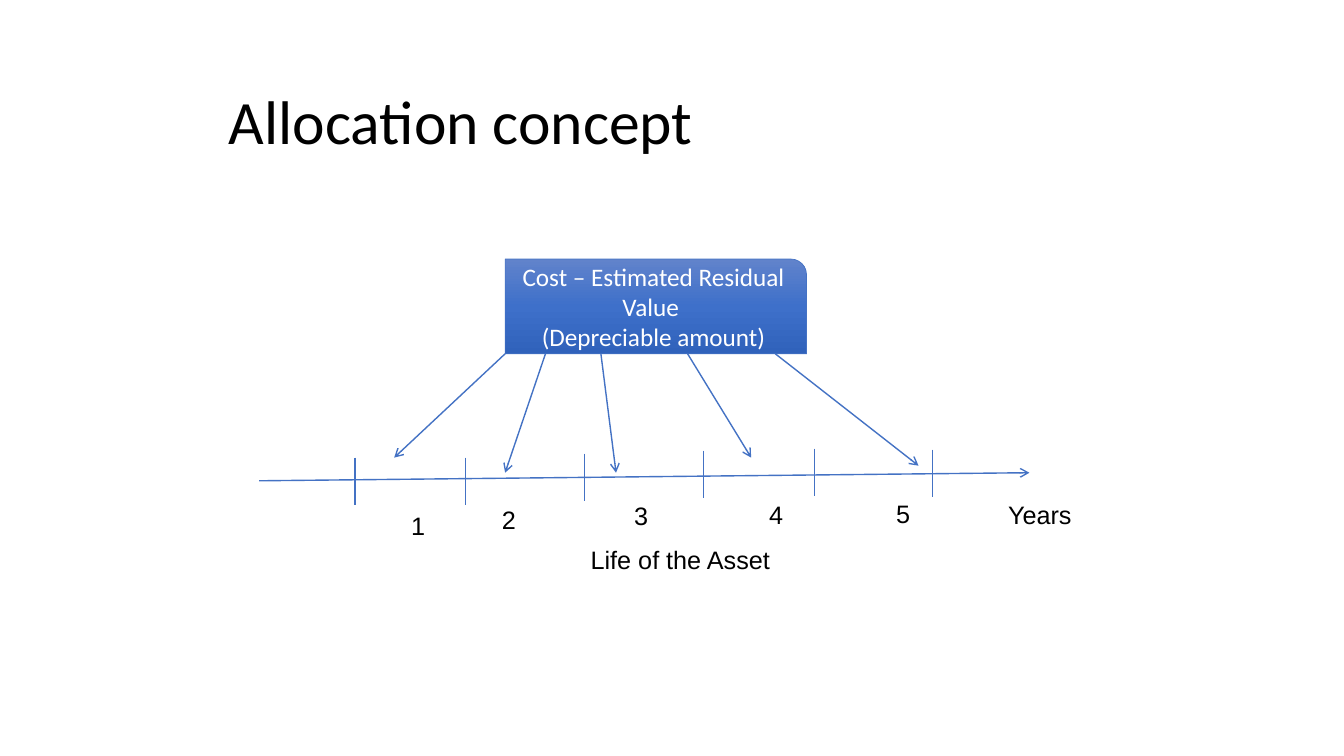
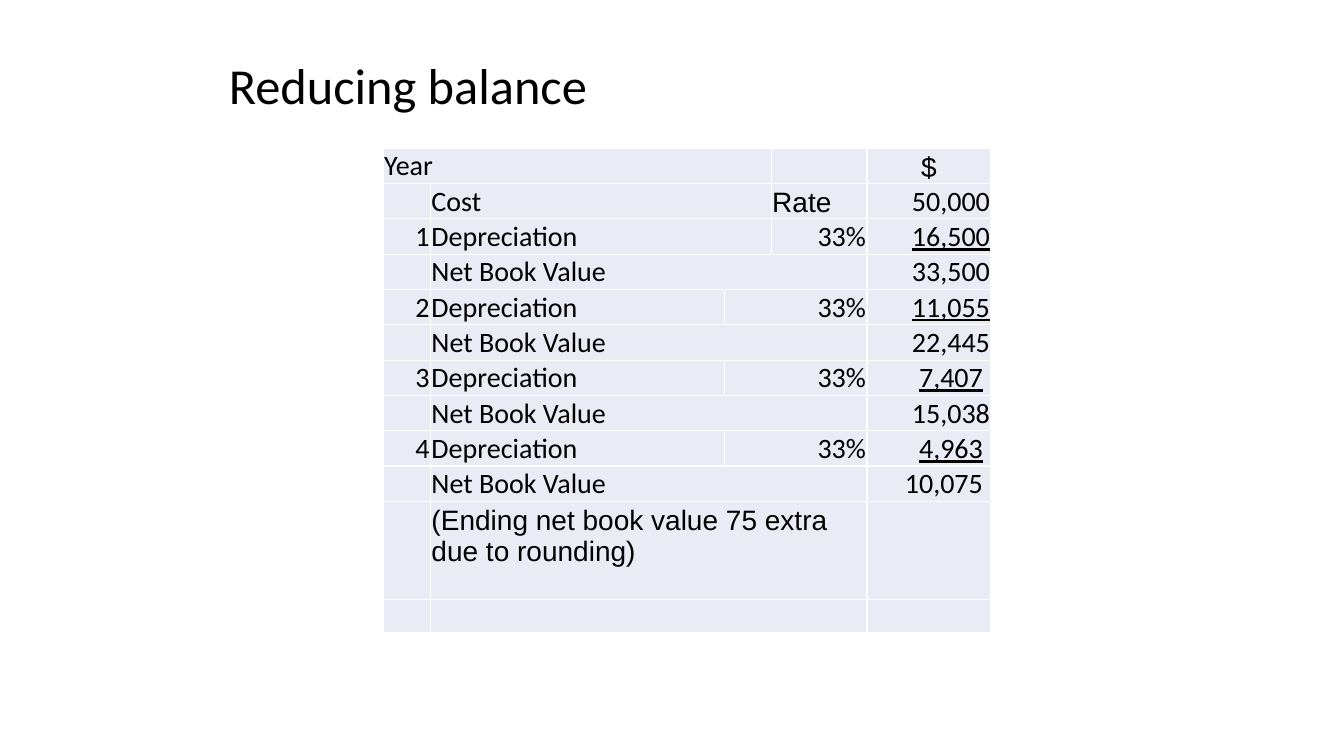
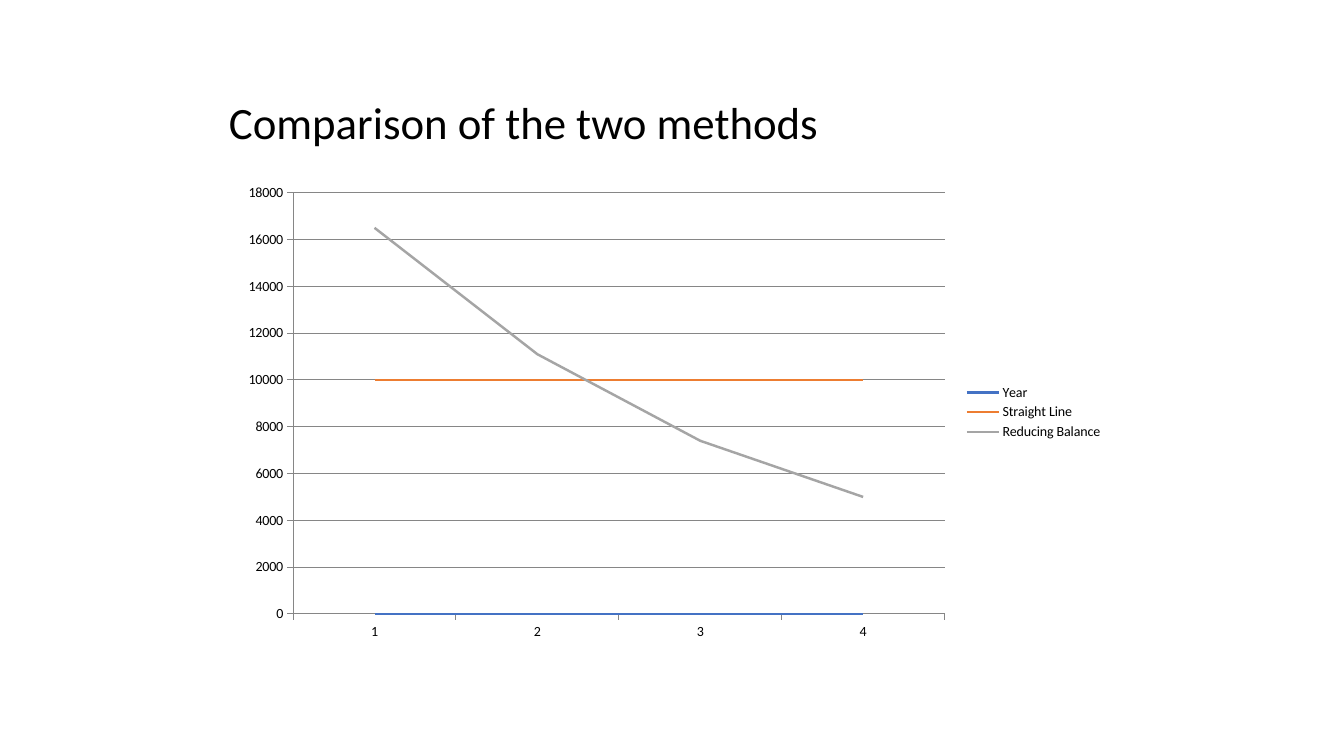
from copy import deepcopy

from lxml import etree
from pptx import Presentation
from pptx.chart.data import CategoryChartData
from pptx.dml.color import RGBColor
from pptx.enum import chart as ch, shapes, text
from pptx.oxml.ns import qn
from pptx.util import Inches, Pt

BLACK, WHITE, BLUE = "000000", "FFFFFF", "4472C4"
GRID, CELL = "868686", "E9EBF5"
HEAD_FONT, LABEL_FONT = "Calibri", "Arial"
LEFT, CENTER, RIGHT = text.PP_ALIGN.LEFT, text.PP_ALIGN.CENTER, text.PP_ALIGN.RIGHT


def rgb(value):
    return RGBColor.from_string(value)


def style(font, size, name=HEAD_FONT, color=BLACK):
    font.size, font.name, font.color.rgb = Pt(size), name, rgb(color)


class Deck:
    """Holds the presentation and the slide being built."""

    def __init__(self):
        self.prs = Presentation()
        self.prs.slide_width, self.prs.slide_height = Inches(13.33), Inches(7.5)
        self.slide = None

    def new_slide(self, heading, size, top=0.75, height=0.97):
        self.slide = self.prs.slides.add_slide(self.prs.slide_layouts[5])
        title = self.slide.shapes.title
        title.left, title.top = Inches(2.17), Inches(top)
        title.width, title.height = Inches(9), Inches(height)
        frame = title.text_frame
        frame.text = heading
        frame.auto_size = text.MSO_AUTO_SIZE.NONE
        frame.vertical_anchor = text.MSO_ANCHOR.MIDDLE
        paragraph = frame.paragraphs[0]
        paragraph.alignment, paragraph.line_spacing = LEFT, 0.9
        style(paragraph.font, size)

    def label(self, words, left, top, width):
        box = self.slide.shapes.add_textbox(
            Inches(left), Inches(top), Inches(width), Inches(0.4))
        box.text_frame.text = words
        box.text_frame.word_wrap = False
        style(box.text_frame.paragraphs[0].font, 18, LABEL_FONT)

    def line(self, x1, y1, x2, y2, arrow=False):
        line = self.slide.shapes.add_connector(
            shapes.MSO_CONNECTOR.STRAIGHT,
            Inches(x1), Inches(y1), Inches(x2), Inches(y2))
        line.line.color.rgb, line.line.width = rgb(BLUE), Pt(1)
        properties = line.element.spPr
        if arrow:
            etree.SubElement(properties.find(qn("a:ln")), qn("a:tailEnd"), type="arrow")
        etree.SubElement(properties, qn("a:effectLst"))

    def gradient_box(self, lines, left, top, width, height, colors):
        box = self.slide.shapes.add_shape(
            shapes.MSO_SHAPE.ROUND_1_RECTANGLE,
            Inches(left), Inches(top), Inches(width), Inches(height))
        box.shadow.inherit = False
        box.line.color.rgb, box.line.width = rgb(BLUE), Pt(0.5)
        # Gradient with evenly spaced stops, running downwards
        box.fill.gradient()
        box.fill.gradient_angle = 270
        stops = box.element.spPr.find(qn("a:gradFill")).find(qn("a:gsLst"))
        while len(stops) < len(colors):
            stops.insert(1, deepcopy(stops[0]))
        for i, (stop, color) in enumerate(zip(box.fill.gradient_stops, colors)):
            stop.color.rgb = rgb(color)
            stop.position = i / (len(colors) - 1)
        frame = box.text_frame
        frame.word_wrap = True
        frame.vertical_anchor = text.MSO_ANCHOR.MIDDLE
        frame.text = "\n".join(lines)
        for paragraph in frame.paragraphs:
            paragraph.alignment = CENTER
            style(paragraph.font, 18, color=WHITE)

    def table(self, left, top, widths, heights):
        table = self.slide.shapes.add_table(
            len(heights), len(widths), Inches(left), Inches(top),
            Inches(sum(widths)), Inches(sum(heights))).table
        table.first_row = table.horz_banding = False
        for column, width in zip(table.columns, widths):
            column.width = Inches(width)
        for row, height in zip(table.rows, heights):
            row.height = Inches(height)
        for cell in table.iter_cells():
            cell.margin_left = cell.margin_right = cell.margin_top = Inches(0.01)
            cell.margin_bottom = 0
            cell.vertical_anchor = text.MSO_ANCHOR.BOTTOM
            for side in ("lnL", "lnR", "lnT", "lnB"):
                border = etree.SubElement(
                    cell._tc.get_or_add_tcPr(), qn("a:" + side), w=str(Pt(1)))
                fill = etree.SubElement(border, qn("a:solidFill"))
                etree.SubElement(fill, qn("a:srgbClr"), val=WHITE)
            cell.fill.solid()
            cell.fill.fore_color.rgb = rgb(CELL)
        return table

    def cell_text(self, cell, words, align=LEFT, font=HEAD_FONT, underline=None):
        cell.text = words
        paragraph = cell.text_frame.paragraphs[0]
        paragraph.alignment = align
        style(paragraph.font, 20, font)
        paragraph.font.underline = underline

    def line_chart(self, left, top, width, height, categories, series):
        data = CategoryChartData()
        data.categories = categories
        for name, values, _ in series:
            data.add_series(name, values)
        chart = self.slide.shapes.add_chart(
            ch.XL_CHART_TYPE.LINE, Inches(left), Inches(top),
            Inches(width), Inches(height), data).chart
        style(chart.font, 10)
        chart.has_title = False
        chart.has_legend = True
        chart.legend.position = ch.XL_LEGEND_POSITION.RIGHT
        chart.legend.include_in_layout = False
        chart.plots[0].vary_by_categories = False
        for plotted, (_, _, color) in zip(chart.plots[0].series, series):
            plotted.smooth = False
            plotted.format.line.color.rgb = rgb(color)
            plotted.format.line.width = Pt(1.75)
        chart.value_axis.has_major_gridlines = True
        for axis in (chart.category_axis, chart.value_axis):
            axis.major_tick_mark = ch.XL_TICK_MARK.OUTSIDE
        for part in (chart.category_axis, chart.value_axis,
                     chart.value_axis.major_gridlines):
            part.format.line.color.rgb = rgb(GRID)
            part.format.line.width = Pt(0.75)


def allocation(deck):
    deck.new_slide("Allocation concept", 44)
    deck.gradient_box(["Cost – Estimated Residual Value ", "(Depreciable amount)"],
                      5.01, 2.57, 2.99, 0.94, ["6183CB", "3E70CA", "3062BB"])
    # Time line with its year marks
    deck.line(2.57, 4.77, 10.21, 4.69, arrow=True)
    for x, y in ((3.52, 4.54), (4.62, 4.54), (5.8, 4.5),
                 (6.98, 4.47), (8.08, 4.45), (9.25, 4.46)):
        deck.line(x, y, x, y + 0.47)
    # Amount spread over the years
    for start, end, y in ((5.01, 3.91, 4.54), (5.41, 5.01, 4.69), (5.96, 6.11, 4.69),
                          (6.82, 7.45, 4.54), (7.69, 9.11, 4.62)):
        deck.line(start, 3.51, end, y, arrow=True)
    # Captions
    for words, left, top, width in (
            ("Life of the Asset", 5.76, 5.35, 2), ("1", 3.98, 5.01, 0.34),
            ("2", 4.88, 4.95, 0.32), ("3", 6.19, 4.91, 0.32), ("4", 7.53, 4.9, 0.32),
            ("5", 8.79, 4.89, 0.32), ("Years", 9.9, 4.9, 0.84)):
        deck.label(words, left, top, width)


def reducing_balance(deck):
    deck.new_slide("Reducing balance", 36, top=0.52, height=0.71)
    note = "(Ending net book value 75 extra due to rounding)"
    cost, charge, net = "Cost", "Depreciation", "Net Book Value"
    # Year, item, column where the rate starts, rate, amount
    ledger = [
        ("Year", "", 3, "", "$"),
        ("", cost, 3, "Rate", "50,000"),
        ("1", charge, 3, "33%", "16,500"),
        ("", net, 4, "", "33,500"),
        ("2", charge, 2, "33%", "11,055"),
        ("", net, 4, "", "22,445"),
        ("3", charge, 2, "33%", "7,407"),
        ("", net, 4, "", "15,038"),
        ("4", charge, 2, "33%", "4,963"),
        ("", net, 4, "", "10,075"),
        ("", note, 4, "", ""),
        ("", "", 4, "", ""),
    ]
    heights = [0.97 if row[1] == note else 0.33 for row in ledger]
    table = deck.table(3.8, 1.47, [0.47, 2.92, 0.46, 0.95, 1.23], heights)
    for r, (year, item, rate_col, rate, amount) in enumerate(ledger):
        item_col = 0 if year == "Year" else 1
        for first, last in ((item_col, rate_col - 1), (rate_col, 3)):
            if first < last:
                table.cell(r, first).merge(table.cell(r, last))
        for column, words in ((0, year), (1, item), (rate_col, rate), (4, amount)):
            if not words:
                continue
            cell = table.cell(r, column)
            align = RIGHT if words[0].isdigit() else CENTER if words == "$" else LEFT
            font = LABEL_FONT if words in ("$", "Rate", note) else HEAD_FONT
            is_charge = item == charge and column == 4
            deck.cell_text(cell, words, align, font, is_charge or None)
            if words in ("7,407", "4,963", "10,075"):
                cell.margin_right = Inches(0.08)
            if words == note:
                cell.vertical_anchor = text.MSO_ANCHOR.TOP
                cell.margin_top = Inches(0.04)


def comparison(deck):
    deck.new_slide("Comparison of the two methods", 32)
    deck.line_chart(2.29, 1.74, 8.75, 4.7, ["1", "2", "3", "4"], [
        ("Year", [0] * 4, BLUE),
        ("Straight Line", [10000] * 4, "ED7D31"),
        ("Reducing Balance", [16500, 11100, 7400, 5000], "A5A5A5"),
    ])


def main():
    deck = Deck()
    allocation(deck)
    reducing_balance(deck)
    comparison(deck)
    deck.prs.save("out.pptx")


if __name__ == "__main__":
    main()
